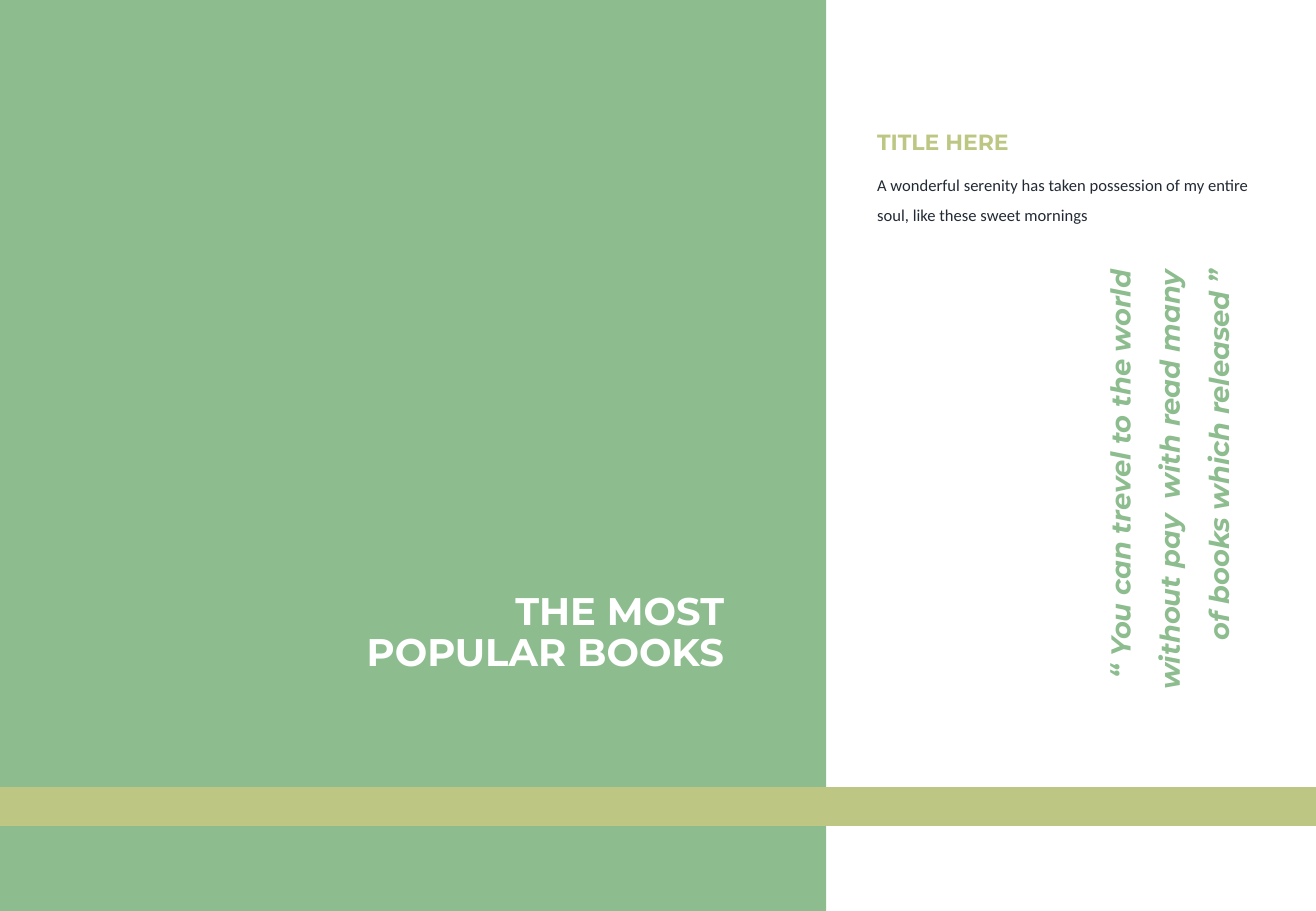
from pptx import Presentation
from pptx.dml.color import RGBColor
from pptx.enum.shapes import MSO_SHAPE
from pptx.enum.text import MSO_ANCHOR, PP_ALIGN
from pptx.util import Inches, Pt

GREEN = RGBColor(0x8D, 0xBD, 0x8E)
OLIVE = RGBColor(0xBD, 0xC7, 0x83)
INK = RGBColor(0x22, 0x2A, 0x35)
WHITE = RGBColor(0xFF, 0xFF, 0xFF)
PAGE_WIDTH, PAGE_HEIGHT = 10.83, 7.5


def add_block(page, left, top, width, height, color):
    """Add a plain filled rectangle."""
    block = page.shapes.add_shape(
        MSO_SHAPE.RECTANGLE, Inches(left), Inches(top), Inches(width), Inches(height))
    block.shadow.inherit = False
    block.fill.solid()
    block.fill.fore_color.rgb = color
    block.line.fill.background()
    return block


def add_box(page, left, top, width, height):
    """Add an empty text box."""
    return page.shapes.add_textbox(
        Inches(left), Inches(top), Inches(width), Inches(height))


def write_text(box, text, *, size, color, font="Montserrat", bold=True,
               italic=False, align=PP_ALIGN.LEFT, spacing=1.0,
               anchor=MSO_ANCHOR.TOP, margins=(0.1, 0.05)):
    """Write one paragraph per line of text into a shape."""
    frame = box.text_frame
    frame.word_wrap = True
    frame.vertical_anchor = anchor
    frame.margin_left = frame.margin_right = Inches(margins[0])
    frame.margin_top = frame.margin_bottom = Inches(margins[1])
    for index, line in enumerate(text.split("\n")):
        para = frame.add_paragraph() if index else frame.paragraphs[0]
        para.alignment = align
        para.line_spacing = spacing
        span = para.add_run()
        span.text = line
        span.font.name = font
        span.font.size = Pt(size)
        span.font.bold = bold
        span.font.italic = italic
        span.font.color.rgb = color


def main():
    """Build the book slide and save it."""
    deck = Presentation()
    deck.slide_width, deck.slide_height = Inches(PAGE_WIDTH), Inches(PAGE_HEIGHT)
    page = deck.slides.add_slide(deck.slide_layouts[6])

    add_block(page, 0, 0, 6.8, PAGE_HEIGHT, GREEN)
    add_block(page, 2.56, 4.76, 3.52, 0.91, GREEN)
    add_block(page, 0, 6.48, PAGE_WIDTH, 0.32, OLIVE)

    write_text(add_box(page, 7.12, 1.31, 3.38, 0.57),
               "A wonderful serenity has taken possession of my entire soul, "
               "like these sweet mornings",
               size=9.8, color=INK, font="Calibri", bold=False, spacing=1.5)
    write_text(add_box(page, 7.12, 1.01, 2.32, 0.32), "TITLE HERE",
               size=13, color=OLIVE)

    quote = add_box(page, 7.64, 3.38, 3.79, 1.28)
    quote.rotation = 270
    write_text(quote,
               "“ You can trevel to the world without pay  with read many "
               "of books which released ”",
               size=16.2, color=GREEN, italic=True, align=PP_ALIGN.RIGHT, spacing=1.5)

    heading = add_block(page, 2.42, 4.88, 3.54, 0.67, GREEN)
    write_text(heading, "THE MOST\nPOPULAR BOOKS", size=22.8, color=WHITE,
               align=PP_ALIGN.RIGHT, spacing=Pt(24.4),
               anchor=MSO_ANCHOR.MIDDLE, margins=(0, 0))

    deck.save("out.pptx")


if __name__ == "__main__":
    main()
